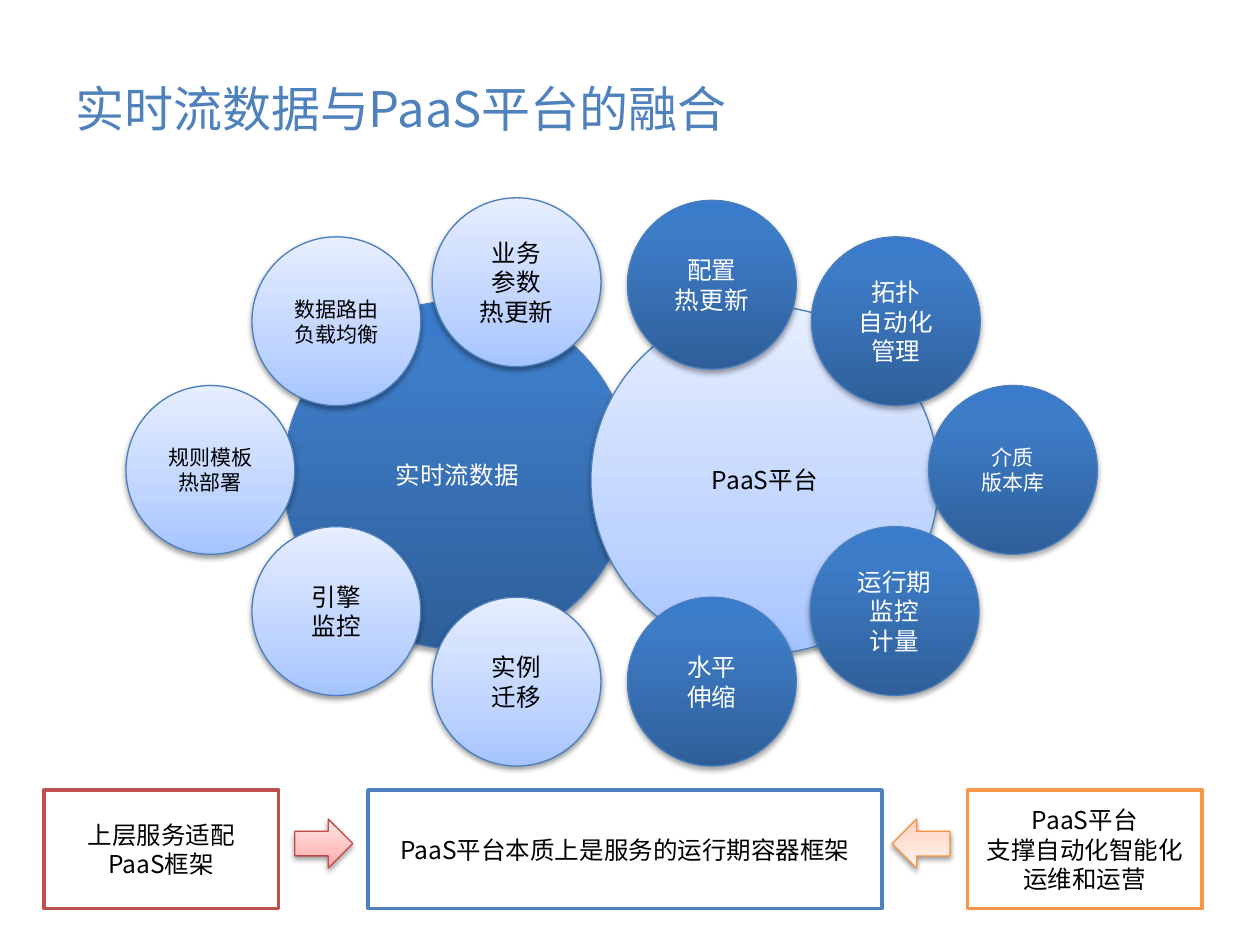
from dataclasses import dataclass

from lxml import etree
from pptx import Presentation, util as u
from pptx.dml.color import RGBColor
from pptx.enum import shapes, text
from pptx.oxml.ns import qn

PX = 9144  # 100 px to the inch
FONT = "Noto Sans CJK SC"
SHAPE = shapes.MSO_SHAPE
HUB, SATELLITE = 276, 134
BOX_TOP, BOX_HEIGHT = 627, 94


@dataclass(frozen=True)
class Style:
    """Gradient stops run from bottom to top; shadow values are EMU and percent."""
    stops: tuple[tuple[int, str], ...]
    line: str
    text: str = "000000"
    shadow_distance: int = 20000
    shadow_opacity: int = 38


@dataclass(frozen=True)
class Circle:
    x: int
    y: int
    label: str
    style: Style
    diameter: int = SATELLITE
    size: int = 14


@dataclass(frozen=True)
class Box:
    x: int
    width: int
    label: str
    line: str


@dataclass(frozen=True)
class Arrow:
    x: int
    style: Style
    rotation: int = 0


DARK = Style(((0, "2F5F99"), (80, "3D7CC7"), (100, "3A7CCB")),
             "4B7EBC", "FFFFFF", 23000, 35)
LIGHT = Style(((0, "A4C4FF"), (35, "BFD4FF"), (100, "E6EEFF")), "4B7EBC")
RED = Style(((0, "FFA6A5"), (35, "FFC0BF"), (100, "FFE7E7")), "BF4C48")
ORANGE = Style(((0, "FFD2BD"), (35, "FFDED0"), (100, "FFF2ED")), "F69240")

CIRCLES = [
    Circle(225, 239, "实时流数据", DARK, HUB),
    Circle(469, 243, "PaaS平台", LIGHT, HUB),
    Circle(498, 159, "配置\n热更新", DARK),
    Circle(644, 188, "拓扑\n自动化\n管理", DARK),
    Circle(643, 418, "运行期监控\n计量", DARK),
    Circle(498, 474, "水平\n伸缩", DARK),
    Circle(343, 157, "业务\n参数\n热更新", LIGHT),
    Circle(343, 474, "实例\n迁移", LIGHT),
    Circle(200, 418, "引擎\n监控", LIGHT),
    Circle(200, 188, "数据路由\n负载均衡", LIGHT, size=12),
    Circle(100, 306, "规则模板热部署", LIGHT, size=12),
    Circle(737, 306, "介质\n版本库", DARK, size=12),
]
BOXES = [
    Box(292, 408, "PaaS平台本质上是服务的运行期容器框架", "4F81BD"),
    Box(35, 186, "上层服务适配\nPaaS框架", "C0504D"),
    Box(768, 186, "PaaS平台\n支撑自动化智能化运维和运营", "F79646"),
]
ARROWS = [Arrow(234, RED), Arrow(708, ORANGE, 180)]


def rgb(color: str) -> RGBColor:
    return RGBColor.from_string(color)


def add_color(parent, color: str):
    return etree.SubElement(parent, qn("a:srgbClr"), val=color)


def write(shape, label: str, size: int, color: str, align) -> None:
    frame = shape.text_frame
    frame.word_wrap = True
    frame.vertical_anchor = text.MSO_ANCHOR.MIDDLE
    frame.text = label
    for paragraph in frame.paragraphs:
        paragraph.alignment = align
        for run in paragraph.runs:
            run.font.size = u.Pt(size)
            run.font.name = FONT
            run.font.color.rgb = rgb(color)
            etree.SubElement(run.font._element, qn("a:ea"), typeface=FONT)


def add_outlined(slide, kind, x: int, y: int, width: int, height: int,
                 line: str, weight: float):
    shape = slide.shapes.add_shape(kind, x * PX, y * PX, width * PX, height * PX)
    shape.shadow.inherit = False
    shape.line.color.rgb = rgb(line)
    shape.line.width = u.Pt(weight)
    return shape


def apply_style(shape, style: Style) -> None:
    """Give the shape its three-stop gradient and the shadow below it."""
    shape.fill.gradient()
    shape.fill.gradient_angle = 90
    properties = shape._element.spPr
    stops = properties.find(".//" + qn("a:gsLst"))
    for stop in list(stops):
        stops.remove(stop)
    for position, color in style.stops:
        add_color(etree.SubElement(stops, qn("a:gs"), pos=str(position * 1000)), color)

    shadow = etree.SubElement(
        properties.find(qn("a:effectLst")), qn("a:outerShdw"), blurRad="40000",
        dist=str(style.shadow_distance), dir="5400000", rotWithShape="0")
    etree.SubElement(add_color(shadow, "000000"), qn("a:alpha"),
                     val=str(style.shadow_opacity * 1000))


def draw_circle(slide, circle: Circle) -> None:
    shape = add_outlined(slide, SHAPE.OVAL, circle.x, circle.y, circle.diameter,
                         circle.diameter, circle.style.line, 0.75)
    apply_style(shape, circle.style)
    write(shape, circle.label, circle.size, circle.style.text, text.PP_ALIGN.CENTER)


def draw_box(slide, box: Box) -> None:
    shape = add_outlined(slide, SHAPE.RECTANGLE, box.x, BOX_TOP, box.width,
                         BOX_HEIGHT, box.line, 2)
    shape.fill.solid()
    shape.fill.fore_color.rgb = rgb("FFFFFF")
    write(shape, box.label, 14, "000000", text.PP_ALIGN.CENTER)


def draw_arrow(slide, arrow: Arrow) -> None:
    shape = add_outlined(slide, SHAPE.RIGHT_ARROW, arrow.x, 650, 46, 39,
                         arrow.style.line, 0.75)
    apply_style(shape, arrow.style)
    shape.rotation = arrow.rotation


def main() -> None:
    deck = Presentation()
    deck.slide_width, deck.slide_height = 1000 * PX, 750 * PX
    slide = deck.slides.add_slide(deck.slide_layouts[6])
    title = slide.shapes.add_textbox(50 * PX, 47 * PX, 608 * PX, 77 * PX)
    write(title, "实时流数据与PaaS平台的融合", 28, "4F81BD", text.PP_ALIGN.LEFT)
    for circle in CIRCLES:
        draw_circle(slide, circle)
    for box in BOXES:
        draw_box(slide, box)
    for arrow in ARROWS:
        draw_arrow(slide, arrow)
    deck.save("out.pptx")


if __name__ == "__main__":
    main()
